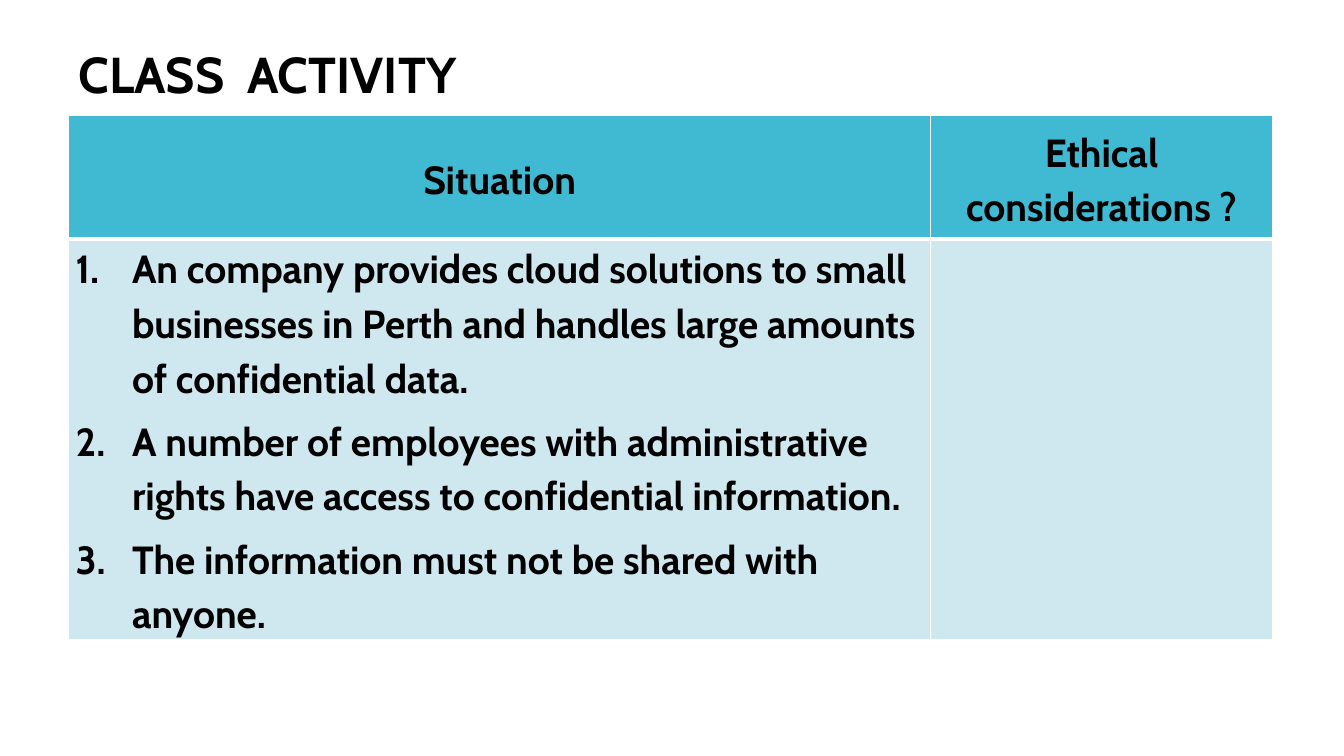
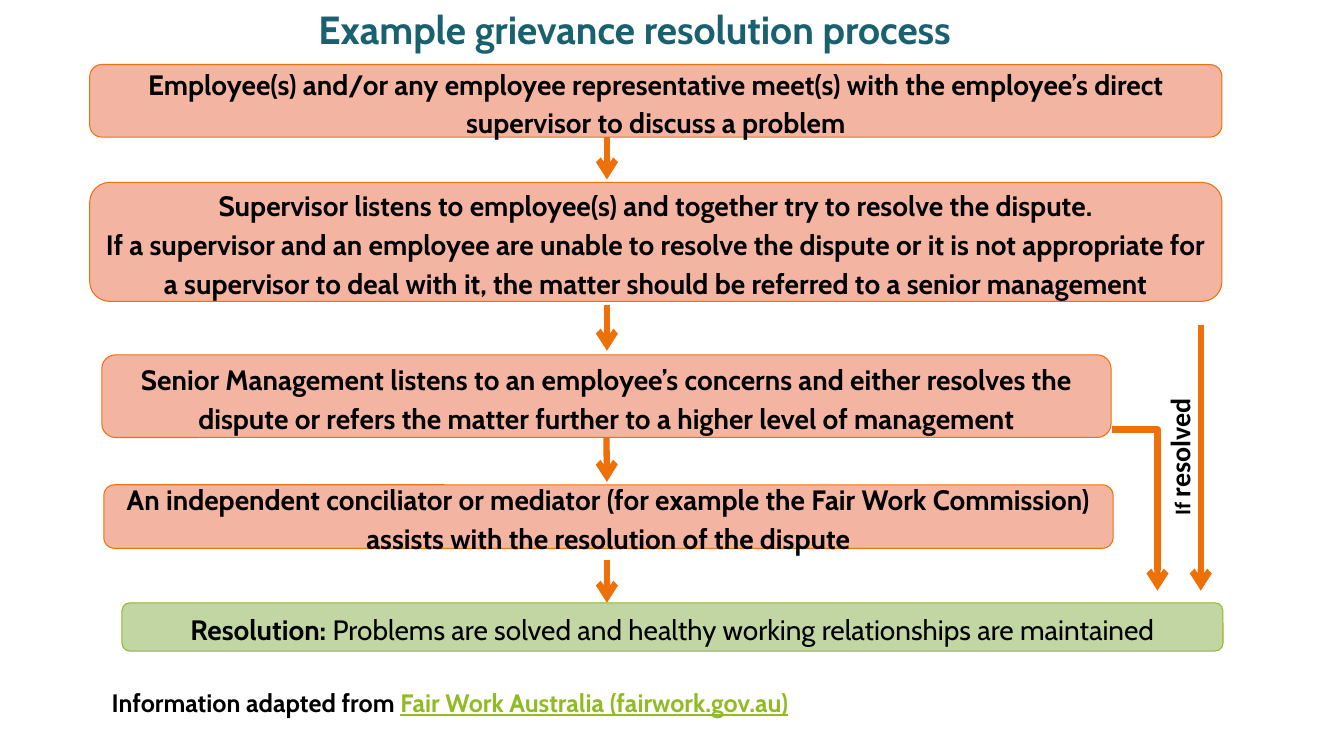
from lxml import etree
from pptx import Presentation
from pptx import util as u
from pptx.dml.color import RGBColor
from pptx.enum import shapes, text
from pptx.oxml.ns import qn

INK, WHITE, ORANGE, LIME = "000000", "FFFFFF", "EE7008", "90BB23"
SALMON, SAGE, TEAL = "F4B4A2", "C1D6A3", "1A616F"
HEADER_BLUE, BODY_BLUE = "40BAD2", "CFE7EE"
CENTER = text.PP_ALIGN.CENTER
MIDDLE, TOP = text.MSO_ANCHOR.MIDDLE, text.MSO_ANCHOR.TOP

ACTIVITY_TITLE = "CLASS  ACTIVITY"
HEADINGS = ["Situation", "Ethical considerations ?"]
SITUATIONS = [
    "An company provides cloud solutions to small businesses in Perth and handles "
    "large amounts of confidential data.",
    "A number of employees with administrative rights have access to confidential information.",
    "The information must not be shared with anyone.",
]
COLUMNS, ROWS = (8.55, 3.39), (1.23, 3.98)

PROCESS_TITLE = "Example grievance resolution process"
STEPS = [
    ((0.89, 0.64, 11.23, 0.72), SALMON, ORANGE, [
        ("Employee(s) and/or any employee representative meet(s) with the employee’s "
         "direct supervisor to discuss a problem", {})]),
    ((0.89, 1.81, 11.23, 1.18), SALMON, ORANGE, [
        ("Supervisor listens to employee(s) and together try to resolve the dispute.\n"
         "If a supervisor and an employee are unable to resolve the dispute or it is not "
         "appropriate for a supervisor to deal with it, the matter should be referred to "
         "a senior management", {})]),
    ((1.01, 3.52, 10.01, 0.82), SALMON, ORANGE, [
        ("Senior Management listens to an employee’s concerns and either resolves the "
         "dispute or refers the matter further to a higher level of management", {})]),
    ((1.03, 4.81, 10.01, 0.63), SALMON, ORANGE, [
        ("An independent conciliator or mediator (for example the Fair Work Commission) "
         "assists with the resolution of the dispute", {})]),
    ((1.21, 5.98, 10.92, 0.48), SAGE, LIME, [
        ("Resolution:", {}),
        (" Problems are solved and healthy working relationships are maintained",
         {"bold": False})]),
]
SENIOR = 2
FLOW_X = 6.02
FLOW_SPANS = [(1.36, 1.78), (3.03, 3.48), (4.34, 4.78), (5.56, 5.98)]
RESOLVED_X, RESOLVED_SPAN = 11.91, (3.22, 5.86)
ELBOW = (11.03, 4.26, 11.48, 5.86)
RESOLVED_LABEL = [("If ", {"size": 16, "name": "Calibri"}), ("resolved", {"name": "Calibri"})]
SOURCE = [("Information adapted from ", {}),
          ("Fair Work Australia (fairwork.gov.au)", {"color": LIME, "underline": True})]


def rgb(value):
    return RGBColor.from_string(value)


def inches(values):
    return [u.Inches(v) for v in values]


def apply(target, formats):
    for key, value in formats.items():
        setattr(target, key, value)


def style_frame(frame, anchor=TOP, inset=(0.1, 0.05)):
    across, down = inches(inset)
    apply(frame, {"word_wrap": True, "vertical_anchor": anchor, "margin_left": across,
                  "margin_right": across, "margin_top": down, "margin_bottom": down})


def write(paragraph, runs, size, color=INK, **layout):
    apply(paragraph, layout)
    for words, changes in runs:
        look = {"name": "Cabin", "size": size, "bold": True, "color": color, **changes}
        tint = look.pop("color")
        look["size"] = u.Pt(look["size"])
        for index, line in enumerate(words.split("\n")):
            if index:
                paragraph.add_line_break()
            run = paragraph.add_run()
            run.text = line
            apply(run.font, look)
            run.font.color.rgb = rgb(tint)


def add_label(slide, place, runs, size, color=INK, rotation=0, **layout):
    label = slide.shapes.add_textbox(*inches(place))
    label.rotation = rotation
    style_frame(label.text_frame)
    write(label.text_frame.paragraphs[0], runs, size, color, **layout)


def add_step(slide, place, fill, edge, runs):
    step = slide.shapes.add_shape(shapes.MSO_SHAPE.ROUNDED_RECTANGLE, *inches(place))
    step.shadow.inherit = False
    step.fill.solid()
    step.fill.fore_color.rgb = rgb(fill)
    step.line.color.rgb = rgb(edge)
    step.line.width = u.Pt(0.75)
    style_frame(step.text_frame, MIDDLE, (0.1, 0))
    write(step.text_frame.paragraphs[0], runs, 20, alignment=CENTER,
          line_spacing=1.15, space_after=u.Pt(10 if fill == SALMON else 6))
    return step


def add_arrow(slide, ends, bent=False):
    kind = shapes.MSO_CONNECTOR.ELBOW if bent else shapes.MSO_CONNECTOR.STRAIGHT
    arrow = slide.shapes.add_connector(kind, *inches(ends))
    arrow.line.color.rgb = rgb(ORANGE)
    arrow.line.width = u.Pt(4.5)
    properties = arrow._element.spPr
    etree.SubElement(properties.find(qn("a:ln")), qn("a:tailEnd"), type="arrow")
    etree.SubElement(properties, qn("a:effectLst"))
    if bent:
        properties.find(qn("a:prstGeom")).set("prst", "bentConnector2")
    return arrow


def style_cell(cell, fill, bottom, anchor):
    properties = cell._tc.get_or_add_tcPr()
    for side, points in (("L", 1), ("R", 1), ("T", 1), ("B", bottom)):
        border = etree.SubElement(properties, qn("a:ln" + side), w=str(u.Pt(points)))
        paint = etree.SubElement(border, qn("a:solidFill"))
        etree.SubElement(paint, qn("a:srgbClr"), val=WHITE)
    cell.fill.solid()
    cell.fill.fore_color.rgb = rgb(fill)
    apply(cell, {"vertical_anchor": anchor, "margin_left": u.Inches(0.07),
                 "margin_right": u.Inches(0.07), "margin_top": 0, "margin_bottom": 0})


def number(paragraph):
    properties = paragraph._p.get_or_add_pPr()
    properties.set("marL", str(u.Inches(0.56)))
    properties.set("indent", str(-u.Inches(0.56)))
    etree.SubElement(properties, qn("a:buFont"), typeface="+mj-lt")
    etree.SubElement(properties, qn("a:buAutoNum"), type="arabicPeriod")


def build_activity(slide):
    place = (0.68, 1.14, sum(COLUMNS), sum(ROWS))
    activity = slide.shapes.add_table(len(ROWS), len(COLUMNS), *inches(place)).table
    apply(activity, {"first_row": False, "horz_banding": False})
    for column, width in zip(activity.columns, COLUMNS):
        column.width = u.Inches(width)
    for row, height in zip(activity.rows, ROWS):
        row.height = u.Inches(height)
    spacing = {"line_spacing": 1.15, "space_after": u.Pt(3)}
    for index, heading in enumerate(HEADINGS):
        top, body = activity.cell(0, index), activity.cell(1, index)
        style_cell(top, HEADER_BLUE, 3, MIDDLE)
        style_cell(body, BODY_BLUE, 1, TOP)
        write(top.text_frame.paragraphs[0], [(heading, {})], 28, alignment=CENTER, **spacing)
    frame = activity.cell(1, 0).text_frame
    for index, situation in enumerate(SITUATIONS):
        paragraph = frame.add_paragraph() if index else frame.paragraphs[0]
        number(paragraph)
        write(paragraph, [(situation, {})], 28, space_before=u.Pt(3 if index else 0), **spacing)
    add_label(slide, (0.68, 0.38, 4.81, 0.71), [(ACTIVITY_TITLE, {})], 36)


def build_process(slide):
    add_label(slide, (3.06, 0.06, 8.68, 0.62), [(PROCESS_TITLE, {})], 28, TEAL, line_spacing=0.9)
    steps = [add_step(slide, *step) for step in STEPS]
    flow = [add_arrow(slide, (FLOW_X, start, FLOW_X, end)) for start, end in FLOW_SPANS]
    flow[SENIOR].begin_connect(steps[SENIOR], 2)
    start, end = RESOLVED_SPAN
    add_arrow(slide, (RESOLVED_X, start, RESOLVED_X, end))
    add_arrow(slide, ELBOW, bent=True)
    add_label(slide, (10.83, 4.3, 1.51, 0.31), RESOLVED_LABEL, 20, rotation=270,
              line_spacing=1.15, space_after=u.Pt(10))
    add_label(slide, (1.01, 6.77, 8.53, 0.4), SOURCE, 18)


def main():
    deck = Presentation()
    deck.slide_width, deck.slide_height = inches((13.33, 7.5))
    for build in (build_activity, build_process):
        build(deck.slides.add_slide(deck.slide_layouts[6]))
    deck.save("out.pptx")


if __name__ == "__main__":
    main()
